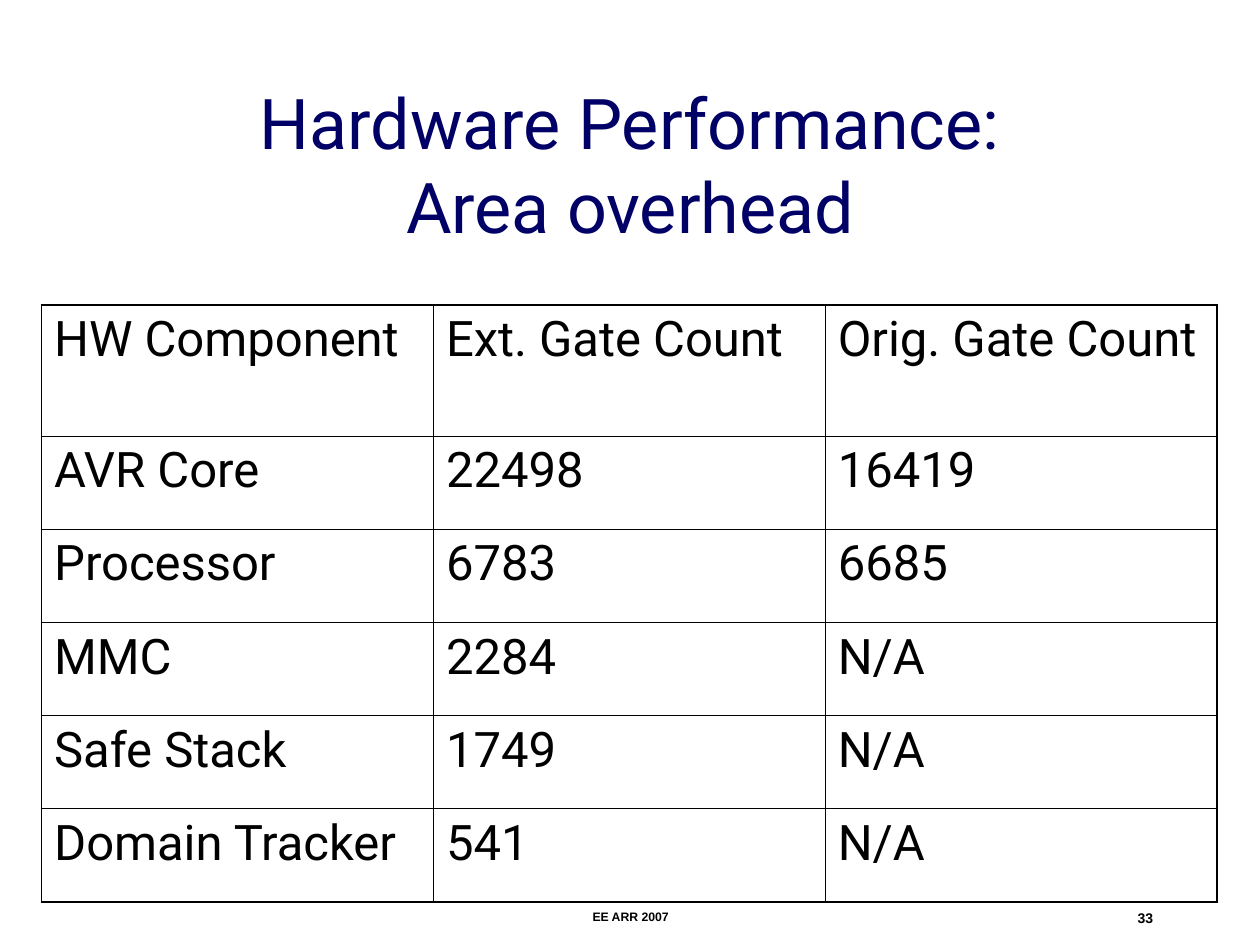
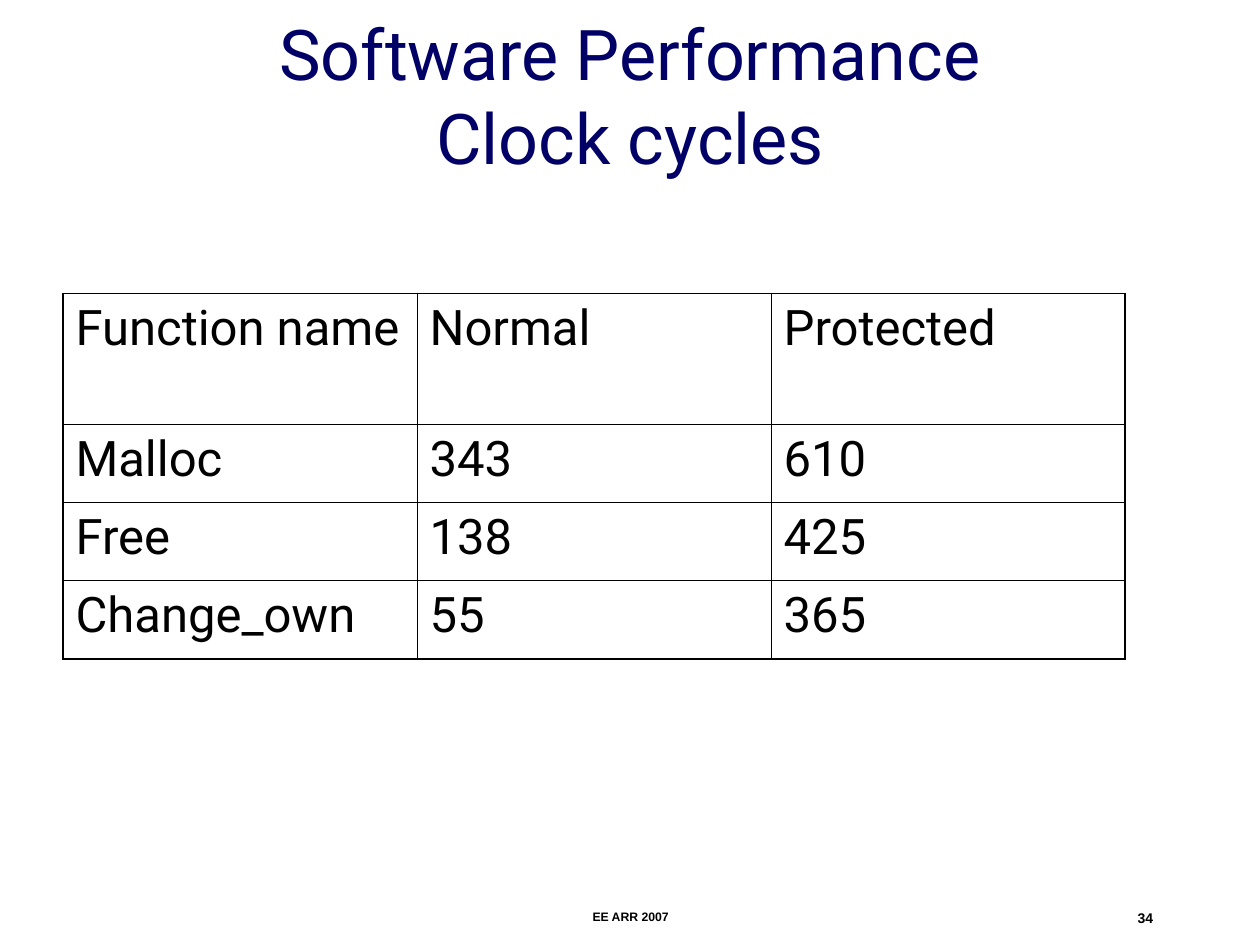
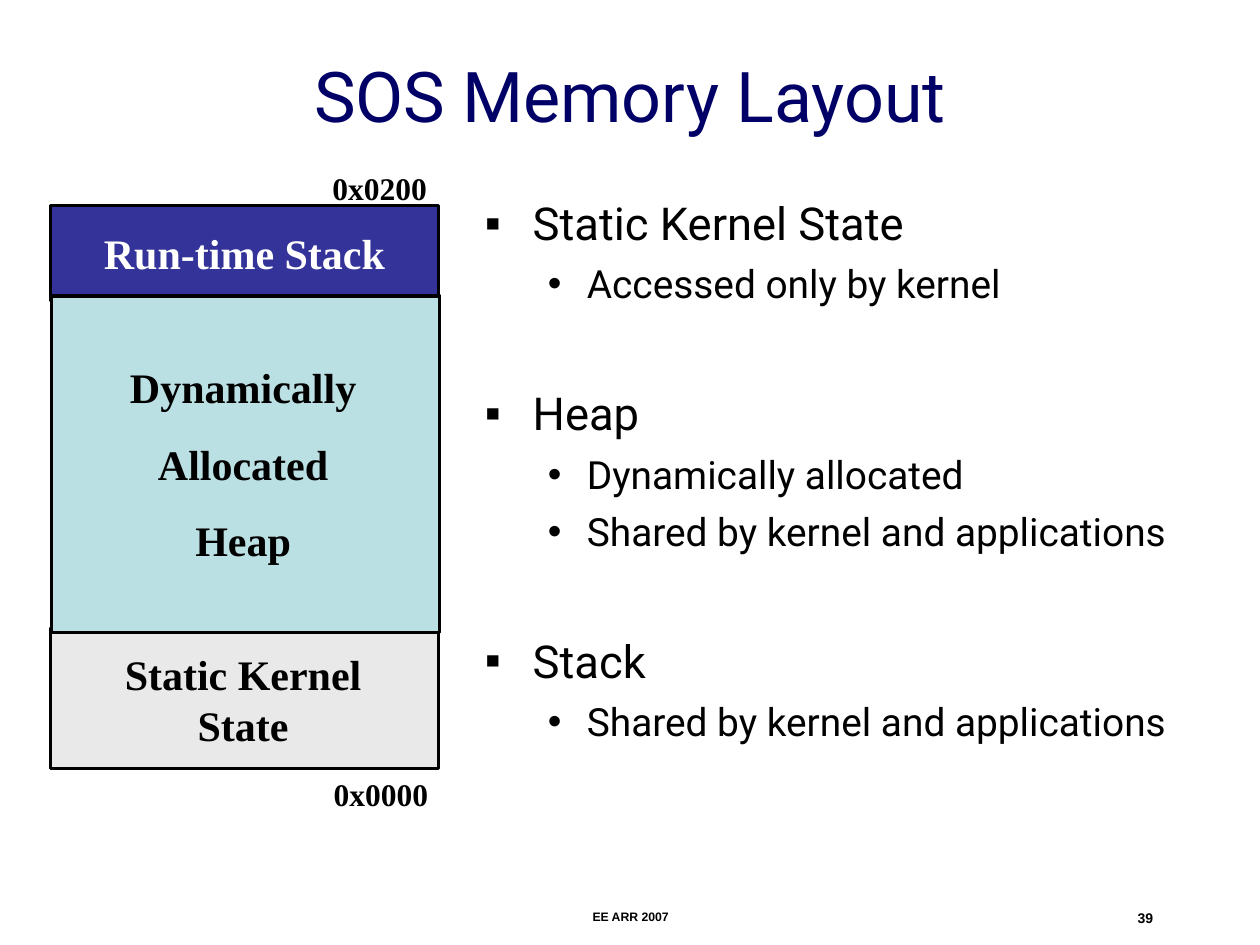
from dataclasses import dataclass
from typing import NamedTuple, Optional

from lxml.etree import SubElement
from pptx import Presentation
from pptx.dml.color import RGBColor
from pptx.enum.shapes import MSO_SHAPE
from pptx.enum.text import MSO_ANCHOR, PP_ALIGN
from pptx.oxml.ns import qn
from pptx.util import Pt

# Scale: 100 px to the inch
EMU_PER_PX = 9144

# Shared colours and fonts
NAVY = RGBColor(0x00, 0x00, 0x66)
BLACK = RGBColor(0x00, 0x00, 0x00)
WHITE = RGBColor(0xFF, 0xFF, 0xFF)
INDIGO = RGBColor(0x33, 0x33, 0x99)
PALE_TEAL = RGBColor(0xBB, 0xE0, 0xE3)
PALE_GREY = RGBColor(0xE9, 0xE9, 0xE9)
SANS, SERIF, FOOTER_FONT = "Roboto", "Times New Roman", "Arial"

OUTER_BORDER, INNER_BORDER = Pt(1.08), Pt(0.45)


def px(length: int) -> int:
    return length * EMU_PER_PX


class Box(NamedTuple):
    left: int
    top: int
    width: int
    height: int

    def emu(self) -> tuple:
        return tuple(px(length) for length in self)


@dataclass(frozen=True)
class Grid:
    left: int
    top: int
    column_width: int
    header_height: int
    row_height: int
    rows: tuple


@dataclass(frozen=True)
class Region:
    """One block of the memory map; its label sits in label_box or in the block."""
    block: Box
    fill: RGBColor
    label: tuple
    color: RGBColor = BLACK
    label_box: Optional[Box] = None


class BulletLevel(NamedTuple):
    symbol: str
    margin: int
    hanging: int
    size: float
    space_before: int


# Positions shared by the slides
TITLE_BOX = Box(75, 25, 850, 100)
LOW_TITLE_BOX = Box(75, 56, 850, 147)
FOOTER_BOX = Box(342, 717, 317, 17)
NUMBER_BOX = Box(717, 717, 208, 17)

# Content
AREA_GRID = Grid(33, 242, 311, 104, 74, (
    ("HW Component", "Ext. Gate Count", "Orig. Gate Count"),
    ("AVR Core", "22498", "16419"),
    ("Processor", "6783", "6685"),
    ("MMC", "2284", "N/A"),
    ("Safe Stack", "1749", "N/A"),
    ("Domain Tracker", "541", "N/A"),
))
CYCLES_GRID = Grid(50, 233, 281, 104, 62, (
    ("Function name", "Normal", "Protected"),
    ("Malloc", "343", "610"),
    ("Free", "138", "425"),
    ("Change_own", "55", "365"),
))
REGIONS = (
    Region(Box(40, 163, 308, 75), INDIGO, ("Run-time Stack",), WHITE),
    Region(Box(40, 499, 308, 111), PALE_GREY, ("Static Kernel State",),
           label_box=Box(66, 510, 254, 90)),
    Region(Box(41, 235, 308, 267), PALE_TEAL, ("Dynamically", "Allocated", "Heap"),
           label_box=Box(66, 282, 254, 172)),
)
ADDRESSES = (("0x0200", Box(254, 129, 106, 40)), ("0x0000", Box(255, 610, 106, 40)))
TOPIC = BulletLevel("▪", 38, 38, 25.9, 7)
DETAIL = BulletLevel("•", 81, 31, 22.2, 6)
TOPIC_GAP = 45
TOPICS = (
    ("Static Kernel State", ("Accessed only by kernel",)),
    ("Heap", ("Dynamically allocated", "Shared by kernel and applications")),
    ("Stack", ("Shared by kernel and applications",)),
)


# Text
def write_text(frame, *lines: str, size: float, font: str = SANS,
               color: RGBColor = BLACK, bold: bool = False,
               align: PP_ALIGN = PP_ALIGN.LEFT, space_before: float = 0) -> list:
    """Fill a text frame with one paragraph per line and return the paragraphs."""
    paragraphs = []
    for index, line in enumerate(lines):
        paragraph = frame.add_paragraph() if index else frame.paragraphs[0]
        paragraph.text = line
        paragraph.alignment = align
        paragraph.space_before = Pt(space_before)
        for run in paragraph.runs:
            run.font.size = Pt(size)
            run.font.name = font
            run.font.bold = bold
            run.font.color.rgb = color
        paragraphs.append(paragraph)
    return paragraphs


def add_frame(slide, box: Box, anchor: MSO_ANCHOR = MSO_ANCHOR.TOP):
    frame = slide.shapes.add_textbox(*box.emu()).text_frame
    frame.word_wrap = True
    frame.vertical_anchor = anchor
    return frame


# Slide with title and footers
def add_slide(deck, title: str, number: int, title_box: Box = TITLE_BOX):
    slide = deck.slides.add_slide(deck.slide_layouts[6])
    write_text(add_frame(slide, title_box, MSO_ANCHOR.MIDDLE), title,
               size=40, color=NAVY, align=PP_ALIGN.CENTER)
    write_text(add_frame(slide, FOOTER_BOX), "EE ARR 2007", size=7,
               font=FOOTER_FONT, bold=True, align=PP_ALIGN.CENTER)
    write_text(add_frame(slide, NUMBER_BOX), str(number), size=8,
               font=FOOTER_FONT, bold=True, align=PP_ALIGN.RIGHT)
    return slide


# Tables
def set_border(cell, side: str, width: int) -> None:
    line = SubElement(cell._tc.get_or_add_tcPr(), qn(f"a:ln{side}"), w=str(width))
    fill = SubElement(line, qn("a:solidFill"))
    SubElement(fill, qn("a:srgbClr"), val=str(BLACK))


def add_grid(slide, grid: Grid) -> None:
    row_count, column_count = len(grid.rows), len(grid.rows[0])
    box = Box(grid.left, grid.top, grid.column_width * column_count,
              grid.header_height + grid.row_height * (row_count - 1))
    table = slide.shapes.add_table(row_count, column_count, *box.emu()).table
    table.first_row = table.horz_banding = False
    for column in table.columns:
        column.width = px(grid.column_width)
    for r, values in enumerate(grid.rows):
        table.rows[r].height = px(grid.row_height if r else grid.header_height)
        for c, value in enumerate(values):
            cell = table.cell(r, c)
            outer_sides = {"L": c == 0, "R": c == column_count - 1,
                           "T": r == 0, "B": r == row_count - 1}
            for side, is_outer in outer_sides.items():
                set_border(cell, side, OUTER_BORDER if is_outer else INNER_BORDER)
            cell.fill.background()
            write_text(cell.text_frame, value, size=28, space_before=7)


# Memory map
def add_region(slide, region: Region) -> None:
    block = slide.shapes.add_shape(MSO_SHAPE.RECTANGLE, *region.block.emu())
    block.shadow.inherit = False
    block.fill.solid()
    block.fill.fore_color.rgb = region.fill
    block.line.color.rgb = BLACK
    block.line.width = Pt(2)
    if region.label_box:
        frame, space_before = add_frame(slide, region.label_box), 15
    else:
        frame, space_before = block.text_frame, 0
    write_text(frame, *region.label, size=24, font=SERIF, color=region.color,
               bold=True, align=PP_ALIGN.CENTER, space_before=space_before)


# Bulleted topics
def set_bullet(paragraph, level: BulletLevel) -> None:
    properties = paragraph._p.get_or_add_pPr()
    properties.set("marL", str(px(level.margin)))
    properties.set("indent", str(-px(level.hanging)))
    color = SubElement(properties, qn("a:buClr"))
    SubElement(color, qn("a:srgbClr"), val=str(BLACK))
    SubElement(properties, qn("a:buFont"), typeface=FOOTER_FONT)
    SubElement(properties, qn("a:buChar"), char=level.symbol)


def add_topics(slide, box: Box) -> None:
    entries = [(line, level) for topic, details in TOPICS
               for line, level in ((topic, TOPIC), *((d, DETAIL) for d in details))]
    frame = add_frame(slide, box)
    paragraphs = write_text(frame, *(line for line, _ in entries), size=TOPIC.size)
    for index, (paragraph, (_, level)) in enumerate(zip(paragraphs, entries)):
        starts_group = index > 0 and level is TOPIC
        paragraph.space_before = Pt(TOPIC_GAP if starts_group else level.space_before)
        paragraph.level = int(level is DETAIL)
        paragraph.runs[0].font.size = Pt(level.size)
        set_bullet(paragraph, level)


def main() -> None:
    deck = Presentation()
    deck.slide_width, deck.slide_height = px(1000), px(750)

    # Area overhead
    area = add_slide(deck, "Hardware Performance:\nArea overhead", 33, LOW_TITLE_BOX)
    add_grid(area, AREA_GRID)

    # Clock cycles
    cycles = add_slide(deck, "Software Performance\nClock cycles", 34)
    add_grid(cycles, CYCLES_GRID)

    # Memory layout
    memory = add_slide(deck, "SOS Memory Layout", 39)
    add_topics(memory, Box(375, 150, 583, 525))
    for region in REGIONS:
        add_region(memory, region)
    for address, box in ADDRESSES:
        write_text(add_frame(memory, box), address, size=18, font=SERIF, bold=True)

    deck.save("out.pptx")


if __name__ == "__main__":
    main()
